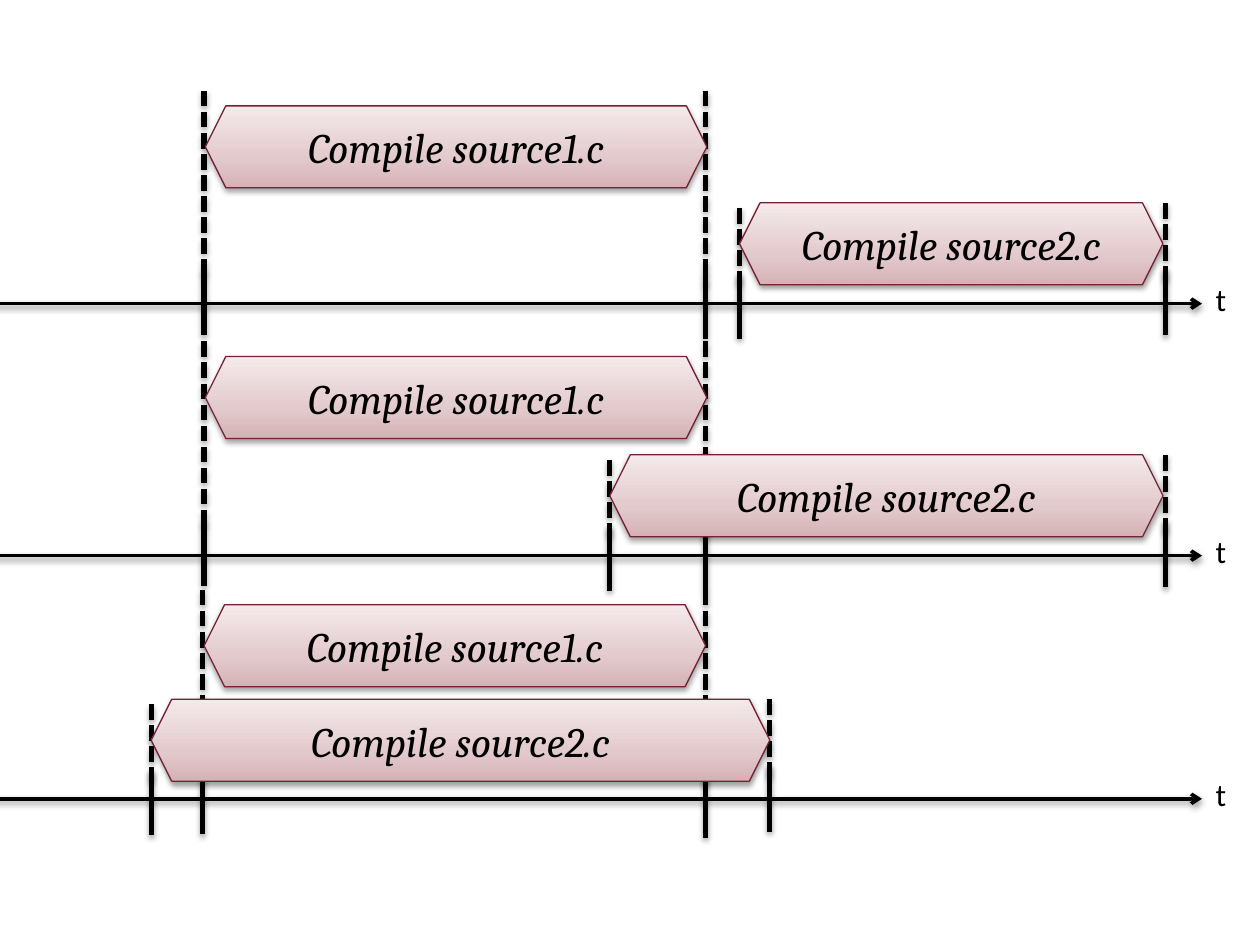
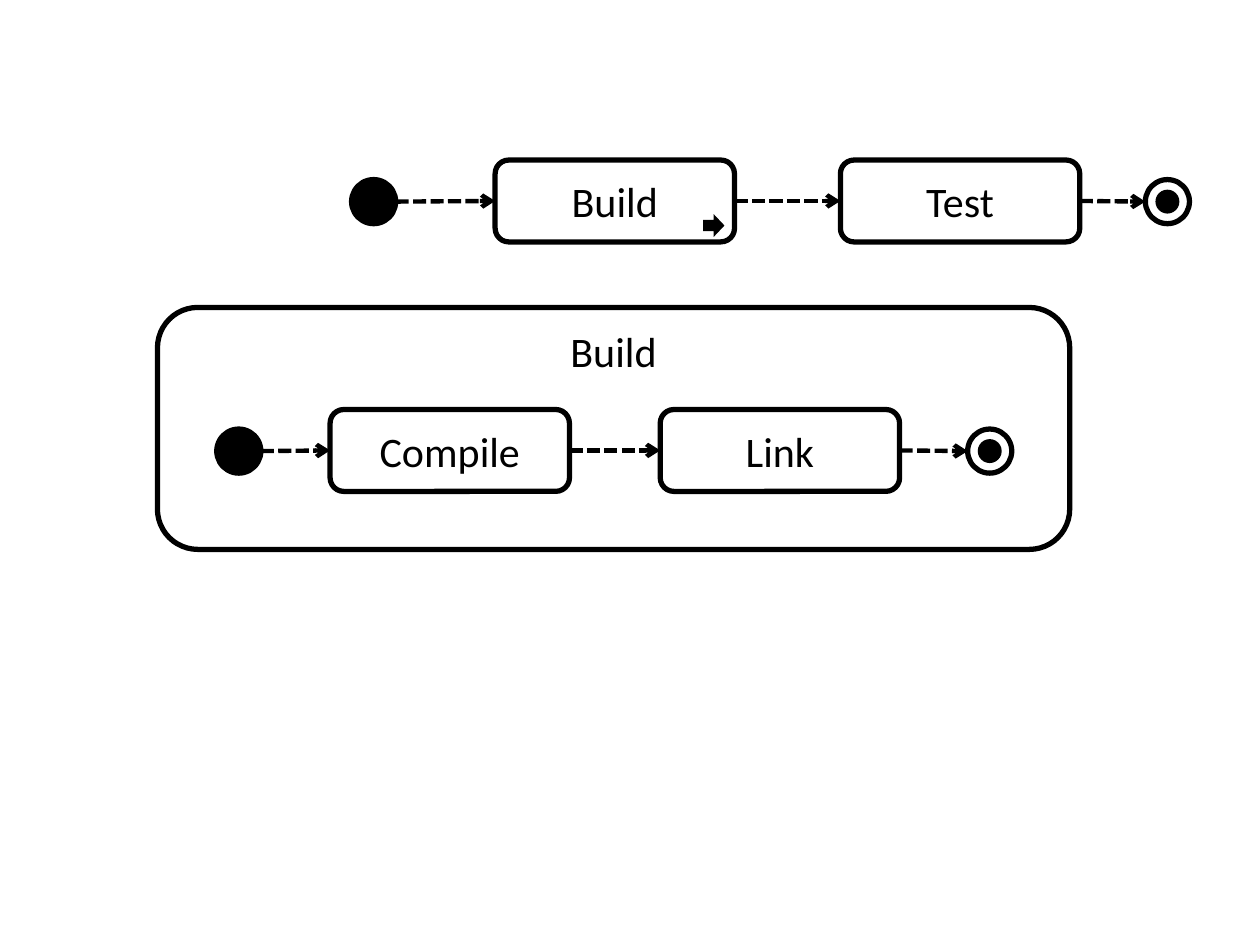
import pptx
import pptx.util
import pptx.dml.color
import pptx.enum.dml
import pptx.enum.shapes
import pptx.enum.text
import pptx.oxml
import pptx.oxml.ns

Inches, Pt = pptx.util.Inches, pptx.util.Pt
RGB = pptx.dml.color.RGBColor.from_string
KIND = pptx.enum.shapes.MSO_SHAPE
STRAIGHT = pptx.enum.shapes.MSO_CONNECTOR.STRAIGHT
DASH = pptx.enum.dml.MSO_LINE.SQUARE_DOT
ANCHOR = pptx.enum.text.MSO_ANCHOR
ALIGN = pptx.enum.text.PP_ALIGN
qn, parse_xml = pptx.oxml.ns.qn, pptx.oxml.parse_xml

COLOR = {"ink": "000000", "edge": "752234",
         "deep": "D6B1B5", "mid": "E2C9CC", "pale": "F4EAEB"}
NS = 'xmlns:a="http://schemas.openxmlformats.org/drawingml/2006/main"'
SHADE = (f'<a:outerShdw {NS} blurRad="40000" dist="21000" dir="5400000" rotWithShape="0">'
         f'<a:srgbClr val="{COLOR["ink"]}"><a:alpha val="37000"/></a:srgbClr></a:outerShdw>')


# A shape, or a text box when kind is None
def put(home, kind, box, text="", size=24, font="Calibri", italic=False,
        fill=None, edge=None, width=3, anchor=ANCHOR.MIDDLE, align=ALIGN.CENTER):
    place = [Inches(v) for v in box]
    if kind is None:
        item = home.add_textbox(*place)
        item.text_frame.word_wrap = False
        item.text_frame.auto_size = pptx.enum.text.MSO_AUTO_SIZE.SHAPE_TO_FIT_TEXT
    else:
        item = home.add_shape(kind, *place)
        item.shadow.inherit = False
    if fill:
        item.fill.solid()
        item.fill.fore_color.rgb = RGB(fill)
    else:
        item.fill.background()
    if edge:
        item.line.color.rgb = RGB(edge)
        item.line.width = Pt(width)
    else:
        item.line.fill.background()
    if text:
        item.text_frame.vertical_anchor = anchor
        para = item.text_frame.paragraphs[0]
        para.alignment = align
        run = para.add_run()
        run.text = text
        run.font.size, run.font.name, run.font.italic = Pt(size), font, italic
        run.font.color.rgb = RGB(COLOR["ink"])
    return item


# A straight line, with optional dashes, arrowhead and shadow
def link(home, x1, y1, x2, y2, width=3, dash=False, arrow=False, shade=False):
    line = home.add_connector(STRAIGHT, *[Inches(v) for v in (x1, y1, x2, y2)])
    line.line.color.rgb = RGB(COLOR["ink"])
    line.line.width = Pt(width)
    if dash:
        line.line.dash_style = DASH
    props = line.element.spPr
    if arrow:
        props.find(qn("a:ln")).append(parse_xml(f'<a:tailEnd {NS} type="arrow"/>'))
    glow = parse_xml(f"<a:effectLst {NS}/>")
    if shade:
        glow.append(parse_xml(SHADE))
    props.append(glow)
    return line


deck = pptx.Presentation()
deck.slide_width, deck.slide_height = Inches(10), Inches(7.5)
blank = deck.slide_layouts[6]

# Slide 1: three timelines
home = deck.slides.add_slide(blank).shapes

# Marks beside a bar, measured from its top: dash start, dash end, tick start, tick end
marks = {"source1.c": [(-0.12, 1.39, 1.31, 1.82), (-0.12, 1.42, 1.33, 1.85)],
         "source2.c": [(0.04, 0.65, 0.57, 1.08), (0, 0.62, 0.53, 1.05)]}

# Axis height, then for each bar: name, left, top, width, mark positions
rows = [
    (2.41, [("source1.c", 1.63, 0.84, 3.98, (1.62, 5.6)),
            ("source2.c", 5.87, 1.61, 3.36, (5.87, 9.25))]),
    (4.41, [("source1.c", 1.63, 2.83, 3.98, (1.62, 5.6)),
            ("source2.c", 4.84, 3.61, 4.39, (4.84, 9.25))]),
    (6.34, [("source1.c", 1.62, 4.8, 3.98, (1.61, 5.6)),
            ("source2.c", 1.2, 5.55, 4.91, (1.2, 6.11))]),
]
for axis, bars in rows:
    link(home, -0.22, axis, 9.54, axis, width=2, arrow=True, shade=True)
    put(home, None, (9.55, axis - 0.24, 0.29, 0.4), "t", size=18,
        anchor=ANCHOR.TOP, align=ALIGN.LEFT)
    for name, left, top, wide, ends in bars:
        for x, (start, stop, low, high) in zip(ends, marks[name]):
            link(home, x, top + low, x, top + high, shade=True)
            link(home, x, top + start, x, top + stop, dash=True, shade=True)
        bar = put(home, KIND.HEXAGON, (left, top, wide, 0.65), f"Compile {name}",
                  font="Cambria", italic=True, edge=COLOR["edge"], width=0.75)
        bar.fill.gradient()
        bar.fill.gradient_angle = 90
        props = bar.element.spPr
        stops = props.find(qn("a:gradFill")).find(qn("a:gsLst"))
        for old in list(stops):
            stops.remove(old)
        for spot, tone in ((0, "deep"), (35, "mid"), (100, "pale")):
            stops.append(parse_xml(f'<a:gs {NS} pos="{spot * 1000}">'
                                   f'<a:srgbClr val="{COLOR[tone]}"/></a:gs>'))
        props.find(qn("a:effectLst")).append(parse_xml(SHADE))

# Slide 2: activity flows
home = deck.slides.add_slide(blank).shapes
ink = COLOR["ink"]
put(home, KIND.ROUNDED_RECTANGLE, (1.25, 2.44, 7.24, 1.92), "Build",
    edge=ink, anchor=ANCHOR.TOP)

# Middle height, start dot, steps, end ring
flows = [(1.6, 2.79, [("Build", 3.93), ("Test", 6.67)], 9.09),
         (3.58, 1.72, [("Compile", 2.62), ("Link", 5.24)], 7.68)]
dot = 0.35
for mid, first, steps, last in flows:
    top = mid - dot / 2
    put(home, KIND.OVAL, (first, top, dot, dot), fill=ink, edge=ink)
    ring = home.add_group_shape().shapes
    put(ring, KIND.OVAL, (last + 0.08, top + 0.08, 0.19, 0.19), fill=ink)
    put(ring, KIND.OVAL, (last, top, dot, dot), edge=ink)

    # Boxes, each with the arrow that leads to it, then the arrow to the ring
    x, prev = first + dot, None
    for name, left in steps + [(None, last)]:
        arrow = link(home, x, mid, left, mid, width=2.5, dash=True, arrow=True)
        if prev:
            arrow.begin_connect(prev, 3)
        if name:
            prev = put(home, KIND.ROUNDED_RECTANGLE, (left, mid - 0.33, 1.9, 0.65),
                       name, edge=ink)
            arrow.end_connect(prev, 1)
            x = left + 1.9

# Marker of the nested flow
put(home, KIND.RIGHT_ARROW, (5.58, 1.7, 0.17, 0.18), fill=ink)

deck.save("out.pptx")
